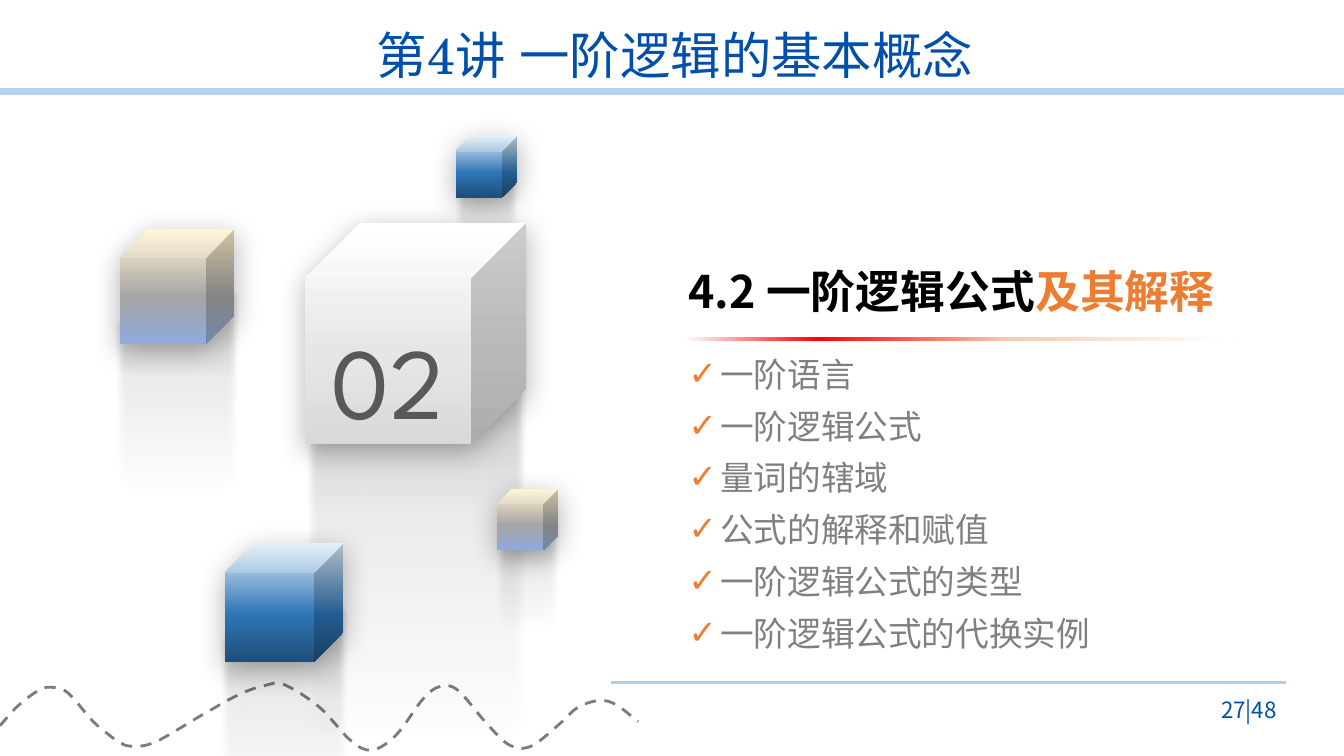
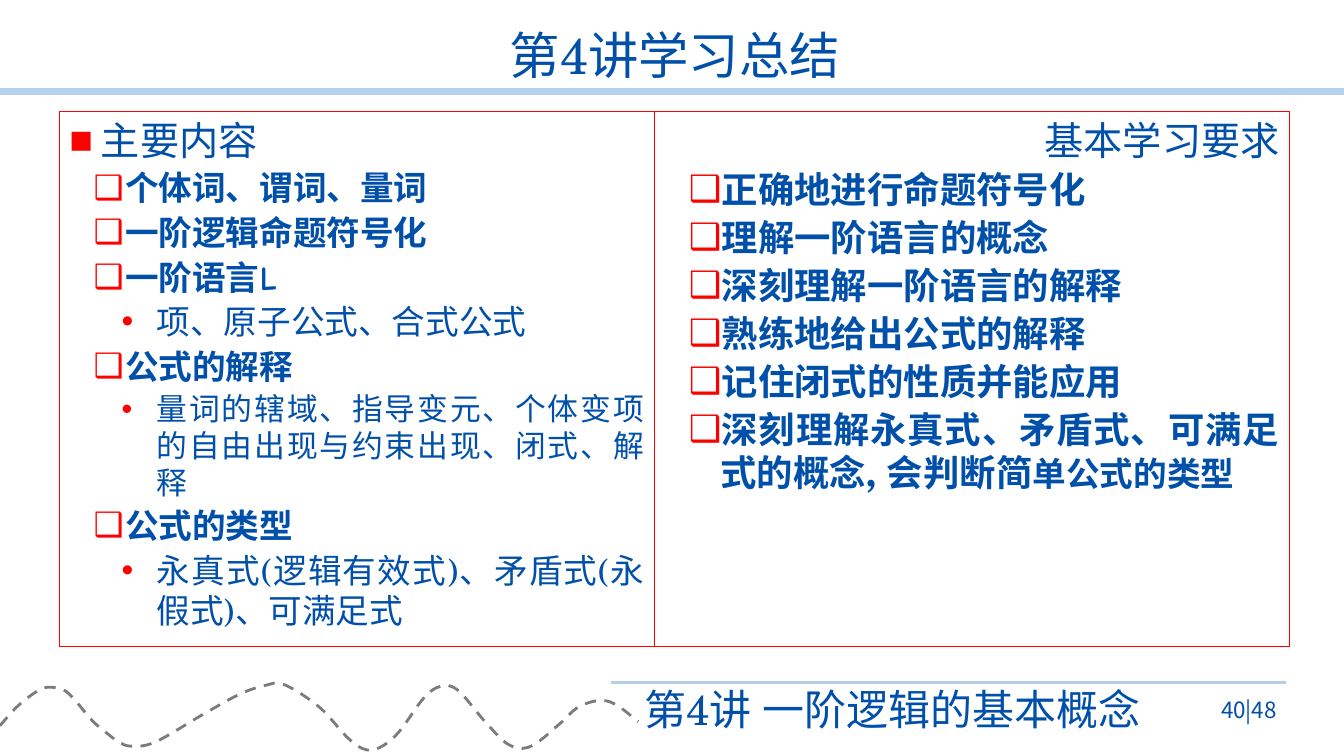
from dataclasses import dataclass
from typing import Any

from pptx import Presentation
from pptx.dml.color import RGBColor
from pptx.enum.dml import MSO_LINE
from pptx.enum.shapes import MSO_CONNECTOR, MSO_SHAPE
from pptx.enum.text import MSO_ANCHOR, MSO_AUTO_SIZE, PP_ALIGN
from pptx.oxml import parse_xml
from pptx.oxml.ns import nsdecls, qn
from pptx.oxml.xmlchemy import OxmlElement
from pptx.util import Pt

BLUE, RED, ORANGE, GREY = "0050AA", "FF0000", "ED7D31", "808080"
SERIF, SANS = "TeX Gyre Schola", "Noto Sans CJK SC"
LECTURE = "第4讲 一阶逻辑的基本概念"
Stops = tuple[tuple[int, str, int], ...]
Box = tuple[float, float, float, float]

BLUE_STOPS: Stops = ((1, "DEEBF7", 100), (60, "2E75B6", 100), (100, "1F4E79", 100))
SAND_STOPS: Stops = ((1, "FFF2CC", 100), (60, "A5A5A5", 100), (100, "8FAADC", 100))
WHITE_STOPS: Stops = ((0, "FFFFFF", 100), (60, "E7E6E6", 100), (100, "D9D9D9", 100))
REFLECTION_STOPS: Stops = (
    (30, "000000", 0), (50, "000000", 4), (70, "000000", 8), (100, "262626", 30))
RULE_STOPS: Stops = (
    (1, "FFFFFF", 100), (25, "FF0000", 100), (60, "F8CBAD", 100), (99, "FFFFFF", 100))
WAVE_POINTS = (
    (0, 518.4), (12, 505), (24, 495.4), (33, 491), (44.6, 492.5), (52.6, 499),
    (66, 514.8), (78, 525), (85, 530), (93.6, 533), (111, 530), (144.7, 510.5),
    (171, 496), (189.4, 489.6), (203, 489), (228, 505), (250.6, 529), (265.7, 535.7),
    (283, 525), (302.4, 499), (314.6, 490.3), (327, 493), (347, 516), (363.6, 532),
    (379.4, 533), (401, 516), (412.6, 505.4), (427.7, 500.4), (440, 503.3),
    (455.8, 515.5))


@dataclass(frozen=True)
class Run:
    """A piece of text with its font."""
    text: str
    size: float
    color: str = BLUE
    font: str = SERIF
    bold: bool = False


@dataclass(frozen=True)
class Bullet:
    """A bullet sign, its level and its indents."""
    sign: str
    level: int
    left: float
    hanging: float
    color: str = RED


@dataclass(frozen=True)
class Line:
    """A paragraph of runs."""
    runs: tuple[Run, ...]
    align: PP_ALIGN = PP_ALIGN.LEFT
    before: float = 0
    spacing: float = 1.0
    bullet: Bullet | None = None


@dataclass(frozen=True)
class Cube:
    """A floating cube and the width ratio of its reflection."""
    left: float
    top: float
    size: float
    stops: Stops
    spread: float = 1.11
    label: str = ""


CHECK = Bullet("✓", 0, 22.7, 22.7, ORANGE)
SQUARE = Bullet("■", 0, 22.5, 22.5)
BOX = Bullet("❑", 1, 39.8, 22.5)
DOT = Bullet("•", 2, 62.3, 25)

CUBES = (
    Cube(325.5, 97, 44, BLUE_STOPS),
    Cube(218, 159, 158, WHITE_STOPS, 1.01, "02"),
    Cube(160.5, 388, 84.8, BLUE_STOPS),
    Cube(355, 349, 44, SAND_STOPS),
    Cube(85.5, 163.5, 82, SAND_STOPS),
)
SECTION_TOPICS = (
    "一阶语言", "一阶逻辑公式", "量词的辖域", "公式的解释和赋值",
    "一阶逻辑公式的类型", "一阶逻辑公式的代换实例")


def colour(value: str) -> RGBColor:
    """Turn a hex string into a colour."""
    return RGBColor.from_string(value)


def apply_format(target: Any, values: dict[str, Any]) -> None:
    """Set every named attribute on the target."""
    for name, value in values.items():
        setattr(target, name, value)


def place(shape: Any, box: Box) -> None:
    """Move and size a shape."""
    apply_format(shape, dict(zip(("left", "top", "width", "height"), map(Pt, box))))


def add_child(parent: Any, tag: str, **attributes: Any) -> Any:
    """Append an element with attributes."""
    child = OxmlElement(tag)
    for name, value in attributes.items():
        child.set(name, str(value))
    parent.append(child)
    return child


def add_color(parent: Any, value: str, opacity: int = 100) -> None:
    """Append a colour with its opacity in percent."""
    color = add_child(parent, "a:srgbClr", val=colour(value))
    if opacity < 100:
        add_child(color, "a:alpha", val=opacity * 1000)


def fill_gradient(shape: Any, stops: Stops, angle: int) -> None:
    """Fill a shape with a gradient that turns with it."""
    shape.fill.background()
    properties = shape._element.spPr
    gradient = parse_xml(f'<a:gradFill {nsdecls("a")} rotWithShape="1"/>')
    stop_list = add_child(gradient, "a:gsLst")
    for position, value, opacity in stops:
        add_color(add_child(stop_list, "a:gs", pos=position * 1000), value, opacity)
    add_child(gradient, "a:lin", ang=angle * 60000, scaled=0)
    properties.replace(properties.find(qn("a:noFill")), gradient)


def add_gradient_shape(slide: Any, kind: MSO_SHAPE, box: Box, stops: Stops,
                       angle: int = 90) -> Any:
    """Add a borderless shape with a gradient."""
    shape = slide.shapes.add_shape(kind, *map(Pt, box))
    fill_gradient(shape, stops, angle)
    shape.line.fill.background()
    shape.shadow.inherit = False
    return shape


def set_bullet(paragraph: Any, bullet: Bullet | None) -> None:
    """Give a paragraph its bullet, or none."""
    properties = paragraph._p.get_or_add_pPr()
    properties.set("marL", str(Pt(bullet.left if bullet else 0)))
    properties.set("indent", str(-Pt(bullet.hanging if bullet else 0)))
    if bullet is None:
        add_child(properties, "a:buNone")
        return
    paragraph.level = bullet.level
    add_color(add_child(properties, "a:buClr"), bullet.color)
    add_child(properties, "a:buChar", char=bullet.sign)


def write(shape: Any, lines: list[Line], anchor: MSO_ANCHOR = MSO_ANCHOR.TOP) -> None:
    """Write paragraphs into a shape."""
    frame = shape.text_frame
    apply_format(frame, {
        "word_wrap": True, "auto_size": MSO_AUTO_SIZE.NONE, "vertical_anchor": anchor})
    for index, line in enumerate(lines):
        paragraph = frame.add_paragraph() if index else frame.paragraphs[0]
        apply_format(paragraph, {
            "alignment": line.align, "space_before": Pt(line.before),
            "space_after": Pt(0), "line_spacing": line.spacing})
        set_bullet(paragraph, line.bullet)
        for piece in line.runs:
            run = paragraph.add_run()
            run.text = piece.text
            apply_format(run.font, {
                "size": Pt(piece.size), "bold": piece.bold, "name": piece.font})
            run.font.color.rgb = colour(piece.color)
            add_child(run._r.get_or_add_rPr(), "a:ea", typeface=piece.font)


def add_text(slide: Any, box: Box, line: Line, anchor: MSO_ANCHOR = MSO_ANCHOR.TOP) -> None:
    """Add a text box with one paragraph."""
    write(slide.shapes.add_textbox(*map(Pt, box)), [line], anchor)


def add_rule(slide: Any, left: float, right: float, top: float, color: str,
             width: float) -> None:
    """Add a horizontal line."""
    rule = slide.shapes.add_connector(
        MSO_CONNECTOR.STRAIGHT, Pt(left), Pt(top), Pt(right), Pt(top))
    rule.line.color.rgb = colour(color)
    rule.line.width = Pt(width)
    add_child(rule._element.spPr, "a:effectLst")


def round_corners(freeform: Any) -> None:
    """Turn the straight segments of a freeform into smooth curves."""
    knots = list(freeform._element.iter(qn("a:pt")))
    spots = [(int(knot.get("x")), int(knot.get("y"))) for knot in knots]
    padded = [spots[0], *spots, spots[-1]]
    for knot, *window in zip(knots[1:], padded, padded[1:], padded[2:], padded[3:]):
        segment = knot.getparent()
        curve = OxmlElement("a:cubicBezTo")
        controls = [(b + (c - a) / 6, c - (d - b) / 6, c) for a, b, c, d in zip(*window)]
        for x, y in zip(*controls):
            add_child(curve, "a:pt", x=round(x), y=round(y))
        segment.getparent().replace(segment, curve)


def add_wave(slide: Any) -> None:
    """Draw the dashed wave at the foot."""
    start, *rest = [(Pt(x), Pt(y)) for x, y in WAVE_POINTS]
    builder = slide.shapes.build_freeform(*start)
    builder.add_line_segments(rest, close=False)
    wave = builder.convert_to_shape()
    round_corners(wave)
    wave.fill.background()
    wave.line.color.rgb = colour("7C7C7C")
    apply_format(wave.line, {"width": Pt(2), "dash_style": MSO_LINE.DASH})
    wave.shadow.inherit = False


def add_base_slide(presentation: Any, layout: int, title: str, page: str) -> Any:
    """Add a slide with title, bands, wave and page number."""
    slide = presentation.slides.add_slide(presentation.slide_layouts[layout])
    add_rule(slide, 0, 960, 65.5, "B5D2EC", 5)
    add_rule(slide, 436.5, 918.5, 487.5, "B5CFE8", 1.75)
    add_wave(slide)
    place(slide.shapes.title, (113.4, 18, 737.3, 46.5))
    write(slide.shapes.title, [Line((Run(title, 36),), PP_ALIGN.CENTER, spacing=0.9)],
          MSO_ANCHOR.MIDDLE)
    add_text(slide, (843, 492.5, 76, 28.8),
             Line((Run(page, 16, font=SANS),), PP_ALIGN.RIGHT), MSO_ANCHOR.MIDDLE)
    return slide


def add_cube(slide: Any, cube: Cube) -> None:
    """Draw a cube over its fading reflection."""
    size, width = cube.size, cube.size * cube.spread
    reflection = add_gradient_shape(
        slide, MSO_SHAPE.CUBE,
        (cube.left - (width - size) / 2, cube.top + size / 2, width, size * 2.71),
        REFLECTION_STOPS)
    reflection.rotation = 180
    add_child(reflection._element.spPr.find(qn("a:effectLst")), "a:softEdge", rad=Pt(5))
    body = add_gradient_shape(
        slide, MSO_SHAPE.CUBE, (cube.left, cube.top, size, size), cube.stops)
    shadow = add_child(
        body._element.spPr.find(qn("a:effectLst")), "a:outerShdw",
        blurRad=Pt(20), dist=Pt(5), dir=90 * 60000, algn="t", rotWithShape=0)
    add_color(shadow, "000000", 30)
    if cube.label:
        label = Run(cube.label, 72, "595959", "League Spartan")
        write(body, [Line((label,), PP_ALIGN.CENTER, spacing=1.3)], MSO_ANCHOR.MIDDLE)


def add_section_slide(presentation: Any) -> None:
    """Build the slide that opens section 4.2."""
    slide = add_base_slide(presentation, 1, LECTURE, "27|48")
    for cube in CUBES:
        add_cube(slide, cube)
    heading = (Run("4.2 一阶逻辑公式", 32, "000000", SANS, True),
               Run("及其解释", 32, ORANGE, SANS, True))
    add_text(slide, (484.6, 145, 397, 85), Line(heading), MSO_ANCHOR.BOTTOM)
    bar = add_gradient_shape(
        slide, MSO_SHAPE.ROUNDED_RECTANGLE, (484.6, 240.9, 396.7, 2.8), RULE_STOPS, 0)
    bar.adjustments[0] = 0.5
    topics = slide.placeholders[1]
    place(topics, (484.6, 249, 347, 221))
    write(topics, [Line((Run(topic, 24, GREY, SANS),), before=8.2 if index else 0,
                        bullet=CHECK) for index, topic in enumerate(SECTION_TOPICS)])


def entry(bullet: Bullet, size: float, text: str, *extra: Run) -> Line:
    """Make a justified entry, bold on the second level."""
    first = Run(text, size, bold=bullet is BOX)
    return Line((first, *extra), PP_ALIGN.JUSTIFY, 6 if bullet is SQUARE else 3,
                bullet=bullet)


def add_summary_slide(presentation: Any) -> None:
    """Build the two-column summary slide."""
    slide = add_base_slide(presentation, 3, "第4讲学习总结", "40|48")
    contents = [
        entry(SQUARE, 28, "主要内容"),
        entry(BOX, 24, "个体词、谓词、量词"),
        entry(BOX, 24, "一阶逻辑命题符号化"),
        entry(BOX, 24, "一阶语言", Run("L", 24, font="Comic Neue", bold=True)),
        entry(DOT, 24, "项、原子公式、合式公式"),
        entry(BOX, 24, "公式的解释"),
        entry(DOT, 22, "量词的辖域、指导变元、个体变项的自由出现与约束出现、闭式、解释"),
        entry(BOX, 24, "公式的类型"),
        entry(DOT, 24, "永真式(逻辑有效式)、矛盾式(永假式)、可满足式"),
    ]
    goals = ("正确地进行命题符号化", "理解一阶语言的概念", "深刻理解一阶语言的解释",
             "熟练地给出公式的解释", "记住闭式的性质并能应用")
    requirements = [
        Line((Run("基本学习要求", 28),), PP_ALIGN.RIGHT, 6),
        *(entry(BOX, 26, goal) for goal in goals),
        entry(BOX, 26, "深刻理解永真式、矛盾式、可满足式的概念, 会判断简",
              Run("单公式的类型", 24, bold=True)),
    ]
    columns = ((1, 42.4, 425.2, contents), (2, 467.6, 453.5, requirements))
    for index, left, width, lines in columns:
        column = slide.placeholders[index]
        place(column, (left, 79.3, width, 382.3))
        column.line.color.rgb = colour(RED)
        column.line.width = Pt(0.75)
        write(column, lines)
    add_text(slide, (397, 484.5, 425.2, 44), Line((Run(LECTURE, 30),), PP_ALIGN.RIGHT, 6))


def main() -> None:
    """Build and save the presentation."""
    presentation = Presentation()
    apply_format(presentation, {"slide_width": Pt(960), "slide_height": Pt(540)})
    add_section_slide(presentation)
    add_summary_slide(presentation)
    presentation.save("out.pptx")


if __name__ == "__main__":
    main()
